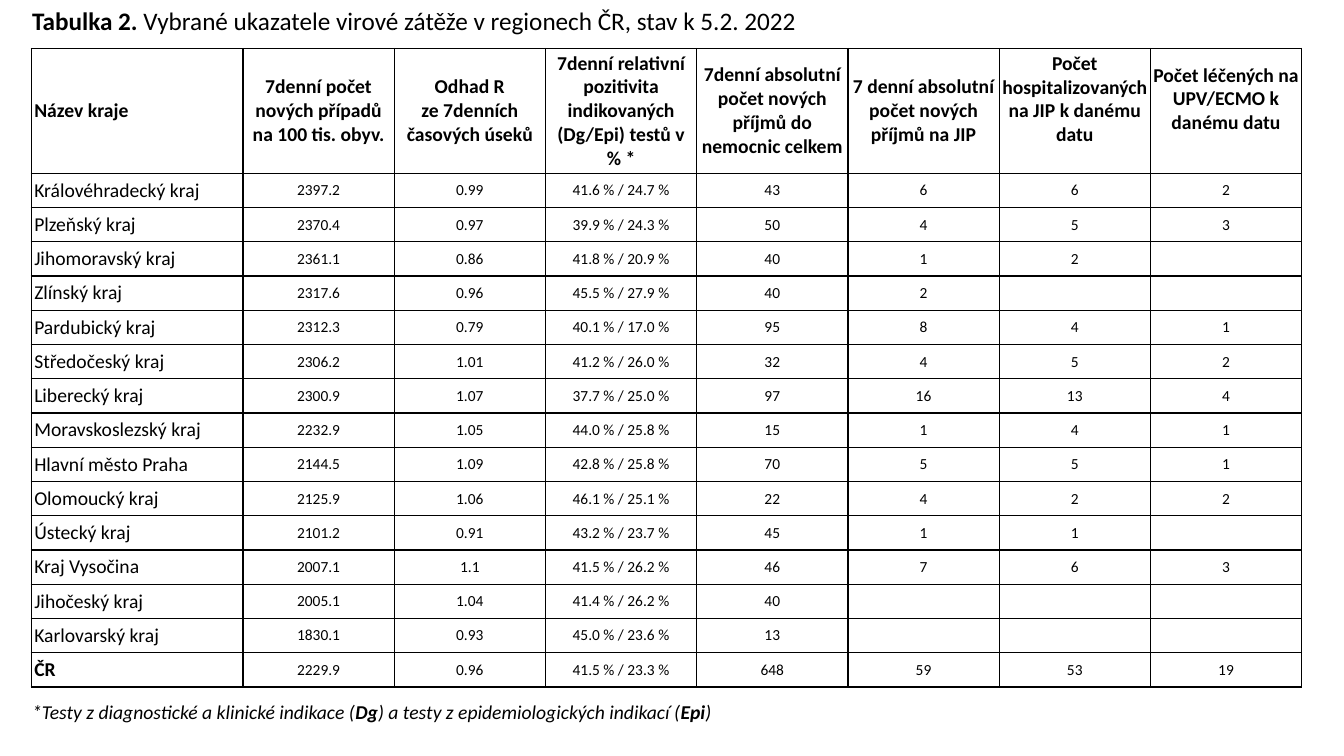
from lxml import etree
from pptx import Presentation
from pptx.dml.color import RGBColor as RGB
from pptx.enum.text import MSO_ANCHOR as Anchor, PP_ALIGN as Align
from pptx.oxml.ns import qn
from pptx.util import Pt

PX = 9144  # 100 px to the inch
FONT = "Calibri"
COLORS = {"ink": "000000", "paper": "FFFFFF"}


def style(span, size, bold=False, italic=False):
    span.font.name = FONT
    span.font.size = Pt(size)
    span.font.bold = bold
    span.font.italic = italic
    span.font.color.rgb = RGB.from_string(COLORS["ink"])


def add_line(left, top, width, height, pieces, size, italic=False):
    box = page.shapes.add_textbox(left * PX, top * PX, width * PX, height * PX)
    box.text_frame.word_wrap = True
    para = box.text_frame.paragraphs[0]
    for text, bold in pieces:
        span = para.add_run()
        span.text = text
        style(span, size, bold, italic)
    return para


deck = Presentation()
deck.slide_width, deck.slide_height = 1333 * PX, 750 * PX
page = deck.slides.add_slide(deck.slide_layouts[6])

# Title
title = add_line(22, 4, 1270, 145, [
    ("Tabulka 2. ", True),
    ("Vybrané ukazatele virové zátěže v regionech ČR, stav k 5.2. 2022", False),
], 18)
title.line_spacing = 0.9

# Table content
header = [
    "Název kraje",
    "7denní počet nových případů na 100 tis. obyv.",
    "Odhad R\nze 7denních časových úseků",
    "7denní relativní pozitivita indikovaných (Dg/Epi) testů v % *",
    "7denní absolutní počet nových příjmů do nemocnic celkem",
    "7 denní absolutní počet nových příjmů na JIP",
    "Počet hospitalizovaných na JIP k danému datu",
    "Počet léčených na UPV/ECMO k danému datu",
]
regions = [
    ("Královéhradecký kraj", "2397.2", "0.99", "41.6 % / 24.7 %", "43", "6", "6", "2"),
    ("Plzeňský kraj", "2370.4", "0.97", "39.9 % / 24.3 %", "50", "4", "5", "3"),
    ("Jihomoravský kraj", "2361.1", "0.86", "41.8 % / 20.9 %", "40", "1", "2", ""),
    ("Zlínský kraj", "2317.6", "0.96", "45.5 % / 27.9 %", "40", "2", "", ""),
    ("Pardubický kraj", "2312.3", "0.79", "40.1 % / 17.0 %", "95", "8", "4", "1"),
    ("Středočeský kraj", "2306.2", "1.01", "41.2 % / 26.0 %", "32", "4", "5", "2"),
    ("Liberecký kraj", "2300.9", "1.07", "37.7 % / 25.0 %", "97", "16", "13", "4"),
    ("Moravskoslezský kraj", "2232.9", "1.05", "44.0 % / 25.8 %", "15", "1", "4", "1"),
    ("Hlavní město Praha", "2144.5", "1.09", "42.8 % / 25.8 %", "70", "5", "5", "1"),
    ("Olomoucký kraj", "2125.9", "1.06", "46.1 % / 25.1 %", "22", "4", "2", "2"),
    ("Ústecký kraj", "2101.2", "0.91", "43.2 % / 23.7 %", "45", "1", "1", ""),
    ("Kraj Vysočina", "2007.1", "1.1", "41.5 % / 26.2 %", "46", "7", "6", "3"),
    ("Jihočeský kraj", "2005.1", "1.04", "41.4 % / 26.2 %", "40", "", "", ""),
    ("Karlovarský kraj", "1830.1", "0.93", "45.0 % / 23.6 %", "13", "", "", ""),
    ("ČR", "2229.9", "0.96", "41.5 % / 23.3 %", "648", "59", "53", "19"),
]
rows = [header, *regions]
last_row = len(rows) - 1

# Table grid
table = page.shapes.add_table(
    len(rows), len(header), 31 * PX, 48 * PX, 1260 * PX, 634 * PX).table
table.first_row = table.horz_banding = False
for index, column in enumerate(table.columns):
    column.width = (150 if index else 210) * PX
for index, row in enumerate(table.rows):
    row.height = (34 if index else 124) * PX

# Table cells
for r, values in enumerate(rows):
    for c, value in enumerate(values):
        cell = table.cell(r, c)
        is_label = r == 0 or c == 0
        side = top = bottom = 3 if is_label else 0
        if r == 0 and c >= 6:  # the two widest headings sit one half-line higher
            side, bottom = 2, 26
        cell.margin_left = cell.margin_right = side * PX
        cell.margin_top, cell.margin_bottom = top * PX, bottom * PX
        cell.vertical_anchor = Anchor.MIDDLE

        properties = cell._tc.get_or_add_tcPr()
        for edge in ("a:lnL", "a:lnR", "a:lnT", "a:lnB"):
            line = etree.SubElement(properties, qn(edge), w=str(Pt(1)))
            fill = etree.SubElement(line, qn("a:solidFill"))
            etree.SubElement(fill, qn("a:srgbClr"), val=COLORS["ink"])
        cell.fill.solid()
        cell.fill.fore_color.rgb = RGB.from_string(COLORS["paper"])

        cell.text_frame.text = value
        for para in cell.text_frame.paragraphs:
            para.alignment = Align.CENTER if c else Align.LEFT
            for span in para.runs:
                style(span, 14 if is_label else 11,
                      r == 0 or (r == last_row and c == 0))

# Footnote
add_line(22, 689, 1000, 34, [
    ("*Testy z diagnostické a klinické indikace (", False),
    ("Dg", True),
    (") a testy z epidemiologických indikací (", False),
    ("Epi", True),
    (")", False),
], 14, italic=True)

deck.save("out.pptx")
